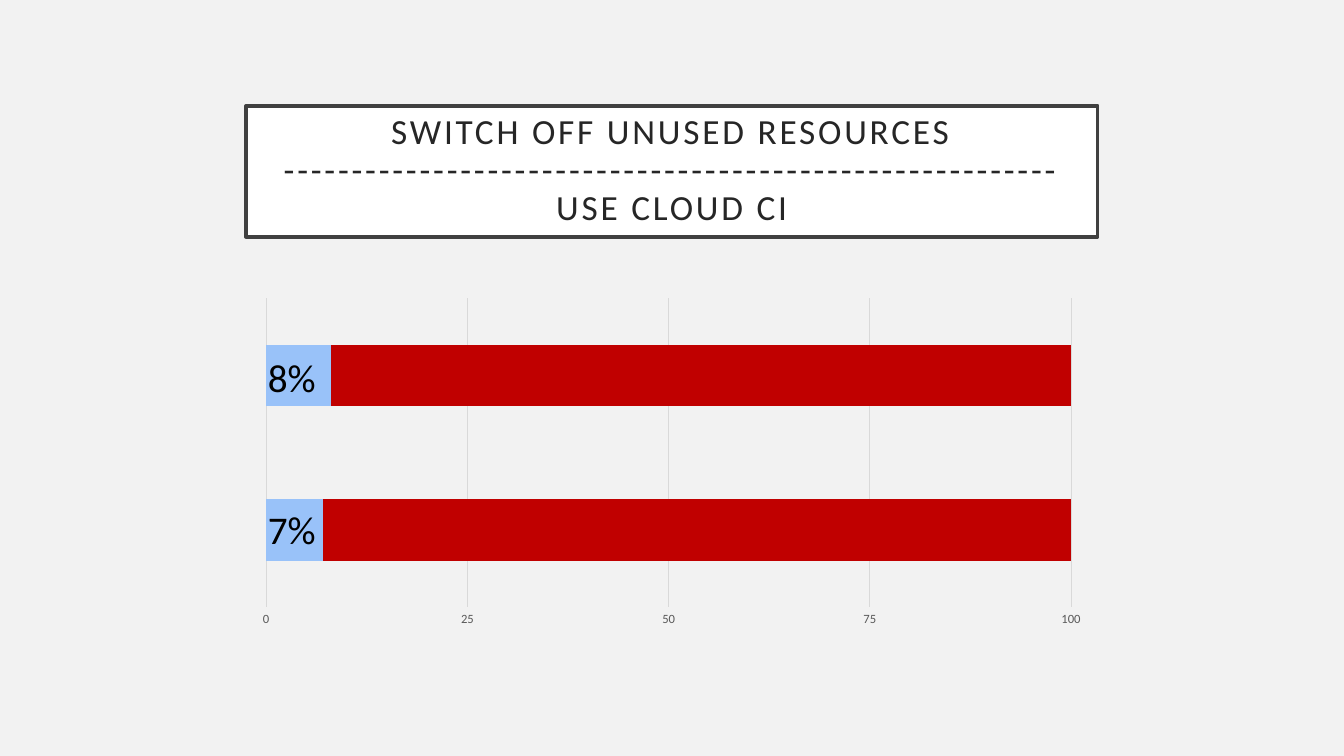
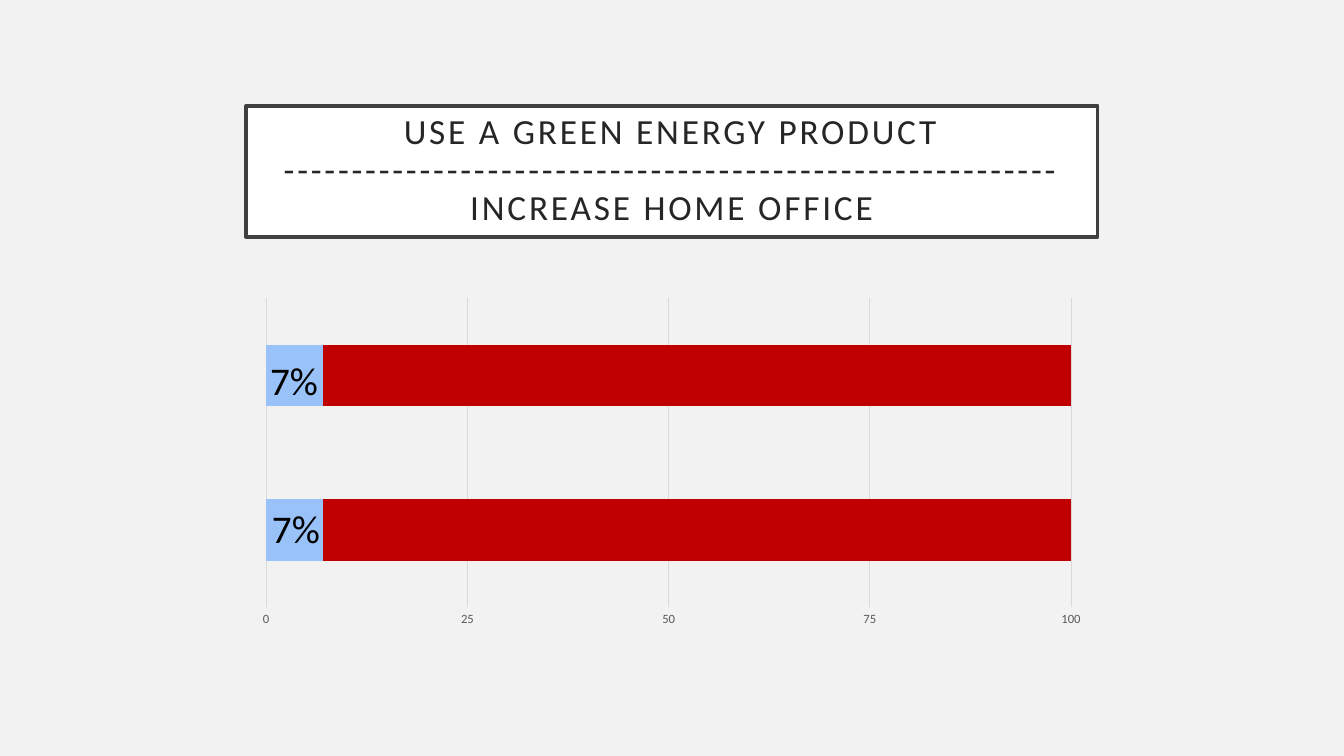
from pptx import Presentation
from pptx.chart.data import CategoryChartData
from pptx.dml.color import RGBColor
from pptx.enum.chart import XL_CHART_TYPE, XL_TICK_MARK
from pptx.enum.shapes import MSO_SHAPE
from pptx.enum.text import MSO_ANCHOR, MSO_AUTO_SIZE, PP_ALIGN
from pptx.util import Pt

STACKED_BARS = XL_CHART_TYPE.BAR_STACKED
NO_TICKS = XL_TICK_MARK.NONE
RECTANGLE = MSO_SHAPE.RECTANGLE
MIDDLE = MSO_ANCHOR.MIDDLE
GROW = MSO_AUTO_SIZE.SHAPE_TO_FIT_TEXT
CENTER = PP_ALIGN.CENTER

BACKGROUND = RGBColor(0xF2, 0xF2, 0xF2)
WHITE = RGBColor(0xFF, 0xFF, 0xFF)
BLACK = RGBColor(0x00, 0x00, 0x00)
FRAME = RGBColor(0x40, 0x40, 0x40)
TITLE_INK = RGBColor(0x26, 0x26, 0x26)
AXIS_INK = RGBColor(0x59, 0x59, 0x59)
GRID = RGBColor(0xD9, 0xD9, 0xD9)
BLUE = RGBColor(0x99, 0xC2, 0xF9)
RED = RGBColor(0xC0, 0x00, 0x00)

FONT = "Calibri"
TITLE_FORMAT = {"name": FONT, "size": Pt(25.2), "color": TITLE_INK}
LABEL_FORMAT = {"name": FONT, "size": Pt(28), "color": BLACK}
CHART_FORMAT = {"name": FONT, "size": Pt(10), "color": BLACK}
AXIS_FORMAT = {"name": FONT, "size": Pt(9), "color": AXIS_INK}

# Each measure, top to bottom: title, percentage, left and top of its label
SLIDES = [
    [("SWITCH OFF UNUSED RESOURCES", 8, 184.3, 249.1),
     ("USE CLOUD CI", 7, 184.3, 357.1)],
    [("USE A GREEN ENERGY PRODUCT", 7, 185.8, 251.3),
     ("INCREASE HOME OFFICE", 7, 187.2, 356.4)],
]
DIVIDER = "-" * 57
TOTAL = 100

LEFT, WIDTH = Pt(175.7), Pt(608.4)
TITLE_TOP, TITLE_HEIGHT = Pt(75.6), Pt(93.6)
CHART_TOP, CHART_HEIGHT = Pt(208.1), Pt(244.1)
LABEL_WIDTH, LABEL_HEIGHT = Pt(64), Pt(41)
TITLE_INSET = Pt(14.4)


def apply_format(font, values):
    for name, value in values.items():
        if name == "color":
            font.color.rgb = value
        else:
            setattr(font, name, value)


def add_chart(page, percentages):
    """Draw each percentage as a blue bar, filled up to the total in red."""
    data = CategoryChartData()
    data.categories = [str(number + 1) for number in range(len(percentages))]
    data.add_series("Series 1", percentages)
    data.add_series("Series 2", [TOTAL - value for value in percentages])
    chart = page.shapes.add_chart(
        STACKED_BARS, LEFT, CHART_TOP, WIDTH, CHART_HEIGHT, data).chart
    chart.has_title = False
    chart.has_legend = False
    apply_format(chart.font, CHART_FORMAT)

    plot = chart.plots[0]
    plot.gap_width = 150
    plot.overlap = 100
    plot.vary_by_categories = False
    for series, color in zip(plot.series, (BLUE, RED)):
        series.format.fill.solid()
        series.format.fill.fore_color.rgb = color

    chart.category_axis.visible = False
    axis = chart.value_axis
    axis.minimum_scale = 0
    axis.maximum_scale = TOTAL
    axis.major_unit = 25
    axis.major_tick_mark = NO_TICKS
    axis.minor_tick_mark = NO_TICKS
    axis.format.line.fill.background()
    apply_format(axis.tick_labels.font, AXIS_FORMAT)
    axis.has_major_gridlines = True
    grid_line = axis.major_gridlines.format.line
    grid_line.color.rgb = GRID
    grid_line.width = Pt(0.75)


def add_title(page, lines):
    box = page.shapes.add_shape(RECTANGLE, LEFT, TITLE_TOP, WIDTH, TITLE_HEIGHT)
    box.shadow.inherit = False
    box.fill.solid()
    box.fill.fore_color.rgb = WHITE
    box.line.color.rgb = FRAME
    box.line.width = Pt(2.5)
    frame = box.text_frame
    frame.word_wrap = True
    frame.vertical_anchor = MIDDLE
    for side in ("left", "top", "right", "bottom"):
        setattr(frame, f"margin_{side}", TITLE_INSET)
    para = frame.paragraphs[0]
    para.text = "\v".join(lines)
    para.alignment = CENTER
    para.line_spacing = 0.9
    for span in para.runs:
        apply_format(span.font, TITLE_FORMAT)
        span.font._element.set("spc", "200")


def add_label(page, text, left, top):
    box = page.shapes.add_textbox(Pt(left), Pt(top), LABEL_WIDTH, LABEL_HEIGHT)
    frame = box.text_frame
    frame.word_wrap = True
    frame.auto_size = GROW
    span = frame.paragraphs[0].add_run()
    span.text = text
    apply_format(span.font, LABEL_FORMAT)


def add_page(deck, measures):
    page = deck.slides.add_slide(deck.slide_layouts[6])
    page.background.fill.solid()
    page.background.fill.fore_color.rgb = BACKGROUND
    # Bar charts count their categories from the bottom up
    add_chart(page, [measure[1] for measure in reversed(measures)])
    upper, lower = (measure[0] for measure in measures)
    add_title(page, [upper, DIVIDER, lower])
    for _, percentage, left, top in measures:
        add_label(page, f"{percentage}%", left, top)


def main():
    deck = Presentation()
    deck.slide_width, deck.slide_height = Pt(960), Pt(540)
    for measures in SLIDES:
        add_page(deck, measures)
    deck.save("out.pptx")


if __name__ == "__main__":
    main()
